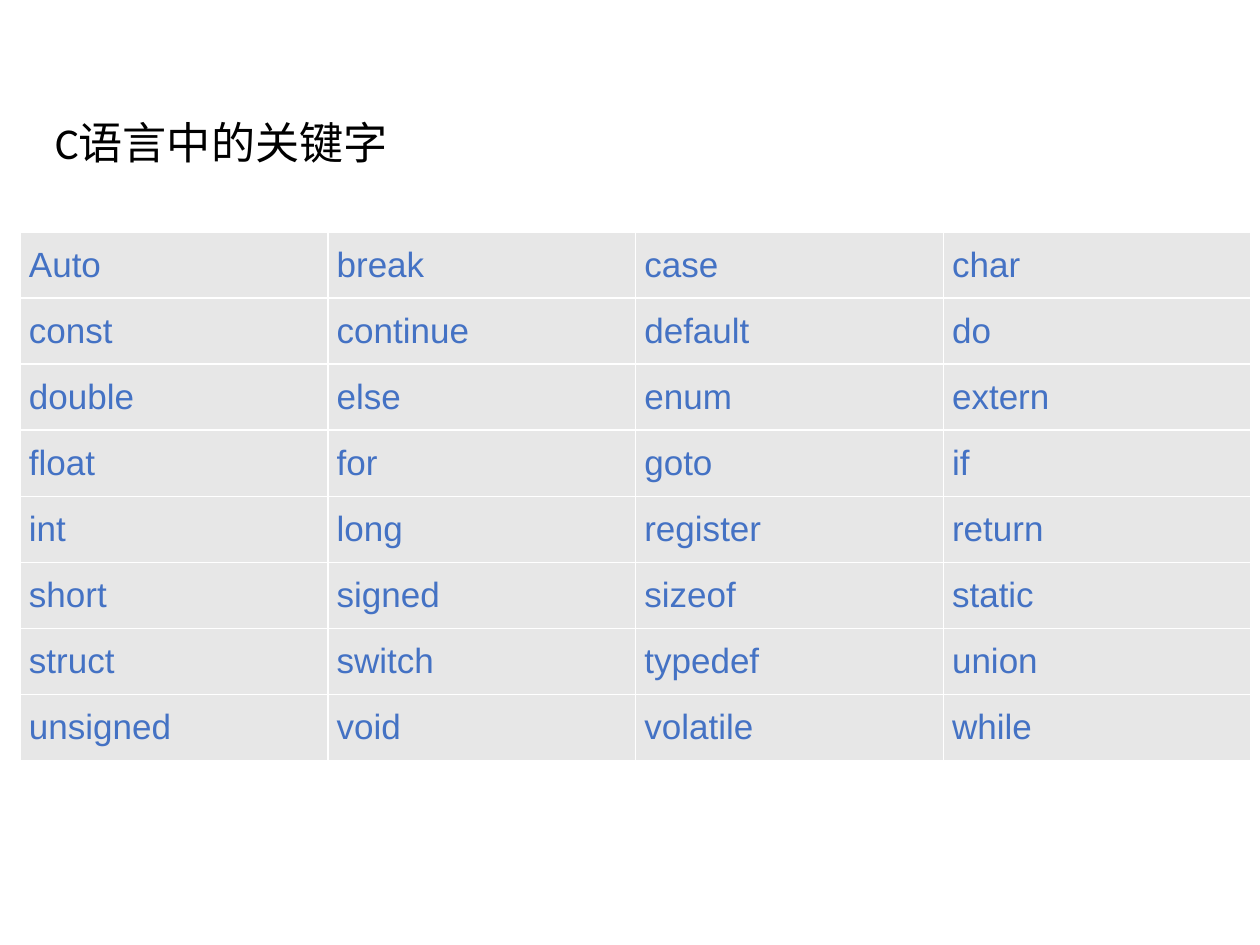
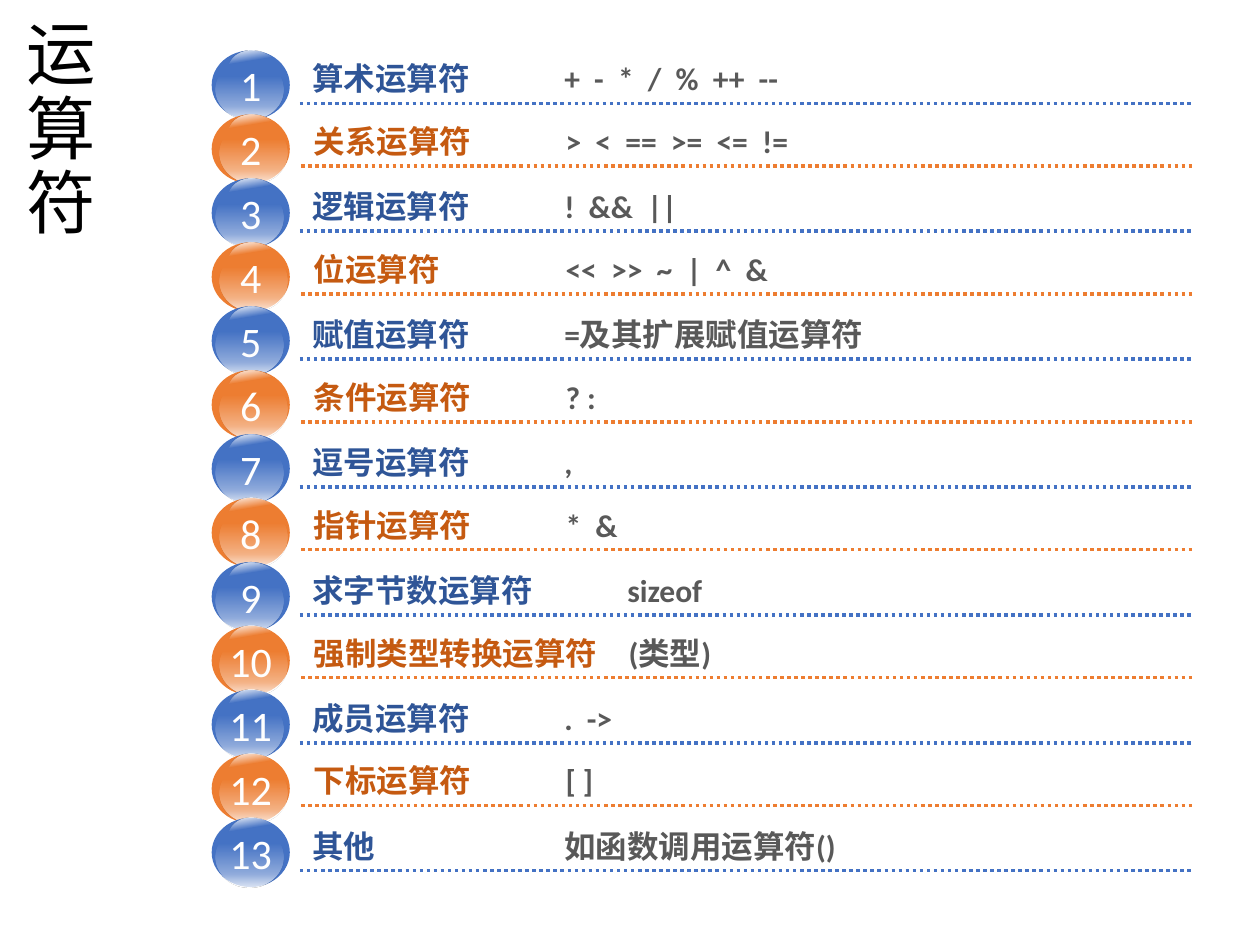
from lxml.etree import SubElement
from pptx import Presentation
from pptx.dml.color import RGBColor
from pptx.enum.dml import MSO_LINE
from pptx.enum.shapes import MSO_CONNECTOR, MSO_SHAPE
from pptx.enum.text import MSO_ANCHOR, PP_ALIGN
from pptx.oxml.ns import qn
from pptx.util import Inches, Pt

BLACK, WHITE, GREY = "000000", "FFFFFF", "595959"
BLUE, DARK_BLUE = "4472C4", "2F5597"
ORANGE, DARK_ORANGE = "ED7D31", "C55A11"
CELL_FILL = "E7E7E7"

TITLE = {"name": "Calibri"}
KEYWORD = {"name": "Arial", "size": Pt(20)}
NUMBER = {"name": "Calibri", "size": Pt(24)}
OPERATOR = {"name": "Calibri", "size": Pt(18), "bold": True}

# Gradient stops: position and opacity of white, in percent
GLOSS_STOPS = [(0, 0), (16, 88), (30, 0)]
GLOW_STOPS = [(28, 0), (78, 41), (98, 79)]

KEYWORDS = [
    "Auto break case char",
    "const continue default do",
    "double else enum extern",
    "float for goto if",
    "int long register return",
    "short signed sizeof static",
    "struct switch typedef union",
    "unsigned void volatile while",
]

# Operator family, its symbols, text width, tab position
OPERATORS = [
    ("算术运算符", "+  -  *  /  %  ++  --", 6.12, 2),
    ("关系运算符", ">  <  ==  >=  <=  !=", 6.12, 2),
    ("逻辑运算符", "!  &&  ||", 5.12, 2),
    ("位运算符", "<<  >>  ~  |  ^  &", 6.36, 2),
    ("赋值运算符", "=及其扩展赋值运算符", 6.12, 2),
    ("条件运算符", "? :", 5.12, 2),
    ("逗号运算符", ",", 5.12, 2),
    ("指针运算符", "*  &", 5.12, 2),
    ("求字节数运算符", "sizeof", 5.12, 2.5),
    ("强制类型转换运算符", "(类型)", 6.5, 2.5),
    ("成员运算符", ".  ->", 5.12, 2),
    ("下标运算符", "[ ]", 5.12, 2),
    ("其他", "如函数调用运算符()", 6.93, 2),
]
FIRST_TOP, LAST_TOP = 0.4, 6.49


def rgb(color):
    return RGBColor.from_string(color)


def apply(target, values):
    for name, value in values.items():
        setattr(target, name, value)


def add_run(paragraph, text, style, color):
    run = paragraph.add_run()
    run.text = text
    apply(run.font, style)
    run.font.color.rgb = rgb(color)


def add_text_frame(shapes, box, anchor):
    frame = shapes.add_textbox(*map(Inches, box)).text_frame
    apply(frame, {"word_wrap": True, "vertical_anchor": anchor})
    return frame


def add_title(slide, text, box, size, line_spacing):
    frame = add_text_frame(slide.shapes, box, MSO_ANCHOR.MIDDLE)
    paragraph = frame.paragraphs[0]
    paragraph.line_spacing = line_spacing
    add_run(paragraph, text, {**TITLE, "size": Pt(size)}, BLACK)


def add_borders(cell, color):
    properties = cell._tc.get_or_add_tcPr()
    for side in ("a:lnL", "a:lnR", "a:lnT", "a:lnB"):
        border = SubElement(properties, qn(side), w=str(Pt(1)))
        fill = SubElement(border, qn("a:solidFill"))
        SubElement(fill, qn("a:srgbClr"), val=color)


def add_keyword_cell(cell, keyword):
    add_borders(cell, WHITE)
    cell.fill.solid()
    cell.fill.fore_color.rgb = rgb(CELL_FILL)
    apply(cell, {
        "vertical_anchor": MSO_ANCHOR.MIDDLE,
        "margin_left": Inches(0.07), "margin_right": Inches(0.07),
        "margin_top": 0, "margin_bottom": 0,
    })
    paragraph = cell.text_frame.paragraphs[0]
    paragraph.alignment = PP_ALIGN.JUSTIFY
    add_run(paragraph, keyword, KEYWORD, BLUE)


def add_keyword_table(slide):
    rows = [line.split() for line in KEYWORDS]
    box = map(Inches, (0.16, 1.84, 9.77, 4.2))
    table = slide.shapes.add_table(len(rows), len(rows[0]), *box).table
    apply(table, {"first_row": False, "horz_banding": False})
    for r, row in enumerate(rows):
        for c, keyword in enumerate(row):
            add_keyword_cell(table.cell(r, c), keyword)


def add_ellipse(shapes, box):
    ellipse = shapes.add_shape(MSO_SHAPE.OVAL, *map(Inches, box))
    ellipse.shadow.inherit = False
    ellipse.line.fill.background()
    return ellipse


def add_number_ball(shapes, number, top, color):
    ball = add_ellipse(shapes, (1.68, top, 0.62, 0.55))
    ball.fill.solid()
    ball.fill.fore_color.rgb = rgb(color)
    frame = ball.text_frame
    apply(frame, {"vertical_anchor": MSO_ANCHOR.MIDDLE,
                  "margin_left": 0, "margin_right": 0})
    paragraph = frame.paragraphs[0]
    paragraph.alignment = PP_ALIGN.CENTER
    add_run(paragraph, str(number), NUMBER, WHITE)


def add_highlight(shapes, box, stops, angle, rotation=0):
    """Lay an ellipse of partly transparent white over a number ball."""
    highlight = add_ellipse(shapes, box)
    highlight.rotation = rotation
    highlight.fill.gradient()
    gradient = highlight._element.spPr.find(qn("a:gradFill"))
    gradient.clear()
    gradient.set("rotWithShape", "1")
    stop_list = SubElement(gradient, qn("a:gsLst"))
    for position, opacity in stops:
        stop = SubElement(stop_list, qn("a:gs"), pos=str(position * 1000))
        white = SubElement(stop, qn("a:srgbClr"), val=WHITE)
        SubElement(white, qn("a:alpha"), val=str(opacity * 1000))
    SubElement(gradient, qn("a:lin"), ang=str(angle * 60000), scaled="0")


def add_dotted_rule(shapes, left, y, color):
    ends = map(Inches, (left, y, 9.47, y))
    rule = shapes.add_connector(MSO_CONNECTOR.STRAIGHT, *ends)
    rule.line.color.rgb = rgb(color)
    apply(rule.line, {"width": Pt(2), "dash_style": MSO_LINE.ROUND_DOT})
    SubElement(rule._element.spPr, qn("a:effectLst"))


def add_operator_text(shapes, family, symbols, box, tab, color):
    frame = add_text_frame(shapes, box, MSO_ANCHOR.BOTTOM)
    paragraph = frame.paragraphs[0]
    tabs = SubElement(paragraph._p.get_or_add_pPr(), qn("a:tabLst"))
    SubElement(tabs, qn("a:tab"), pos=str(Inches(tab)), algn="l")
    add_run(paragraph, family + "\t", OPERATOR, color)
    add_run(paragraph, symbols, OPERATOR, GREY)


def add_operator_row(slide, index, family, symbols, width, tab):
    top = FIRST_TOP + index * (LAST_TOP - FIRST_TOP) / (len(OPERATORS) - 1)
    if index % 2 == 0:
        color, dark, left, glow_left, drop = BLUE, DARK_BLUE, 2.38, 1.71, 0.42
    else:
        color, dark, left, glow_left, drop = ORANGE, DARK_ORANGE, 2.39, 1.74, 0.41
    rule_y = top + drop
    shapes = slide.shapes.add_group_shape().shapes
    add_number_ball(shapes, index + 1, top, color)
    add_dotted_rule(shapes, left, rule_y, color)
    add_highlight(shapes, (1.79, top + 0.02, 0.51, 0.41), GLOSS_STOPS, 45, 35.7)
    add_highlight(shapes, (glow_left, top + 0.07, 0.54, 0.48), GLOW_STOPS, 90)
    add_operator_text(shapes, family, symbols,
                      (left, rule_y - 0.38, width, 0.38), tab, dark)


def main():
    deck = Presentation()
    apply(deck, {"slide_width": Inches(10), "slide_height": Inches(7.5)})
    blank = deck.slide_layouts[6]

    keywords = deck.slides.add_slide(blank)
    add_title(keywords, "C语言中的关键字", (0.34, 0.6, 3.03, 0.97), 25.2, 1.2)
    add_keyword_table(keywords)

    operators = deck.slides.add_slide(blank)
    add_title(operators, "运算符", (0.11, 0.6, 1.19, 0.89), 39.6, 0.9)
    for index, row in enumerate(OPERATORS):
        add_operator_row(operators, index, *row)

    deck.save("out.pptx")


if __name__ == "__main__":
    main()
